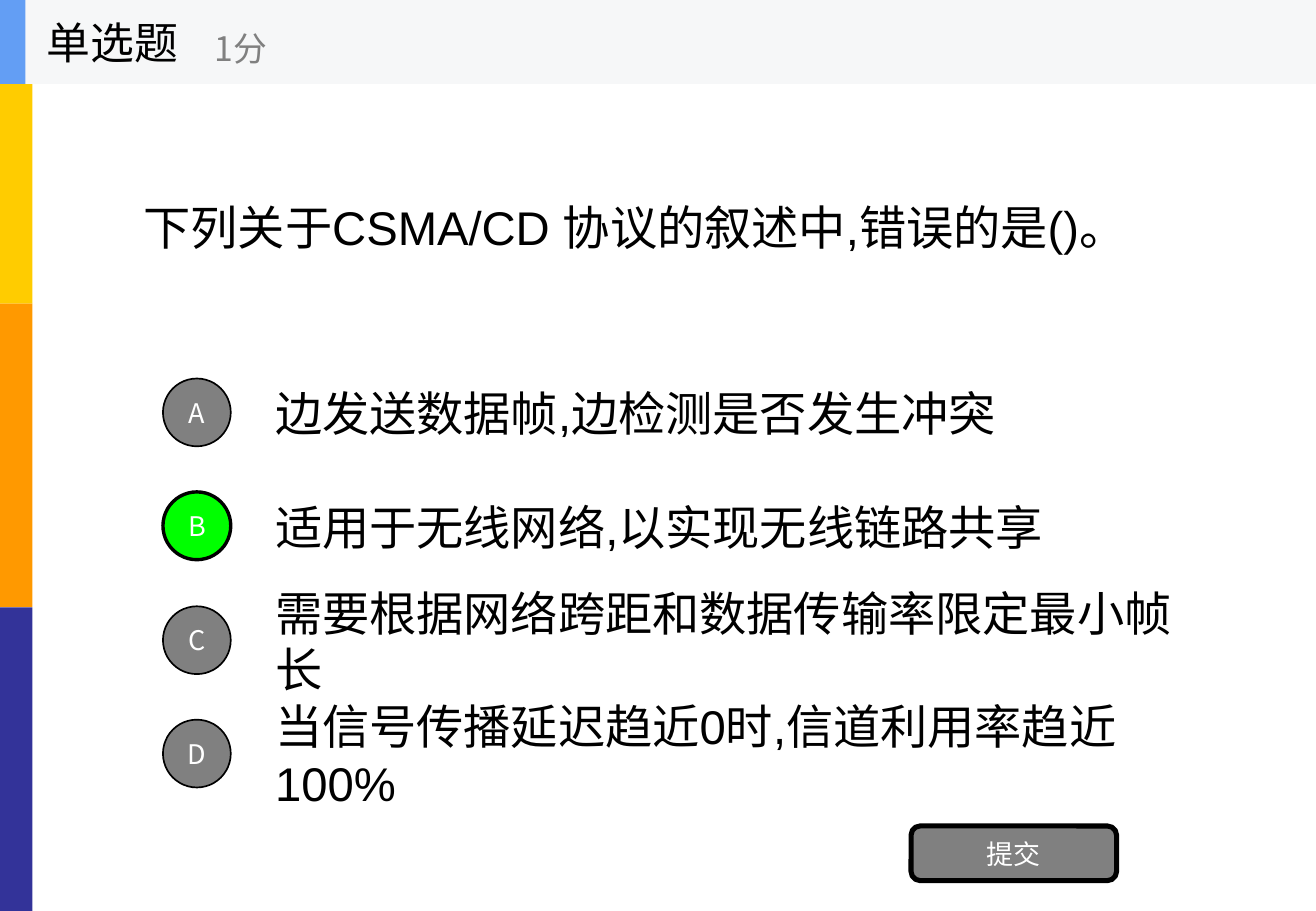
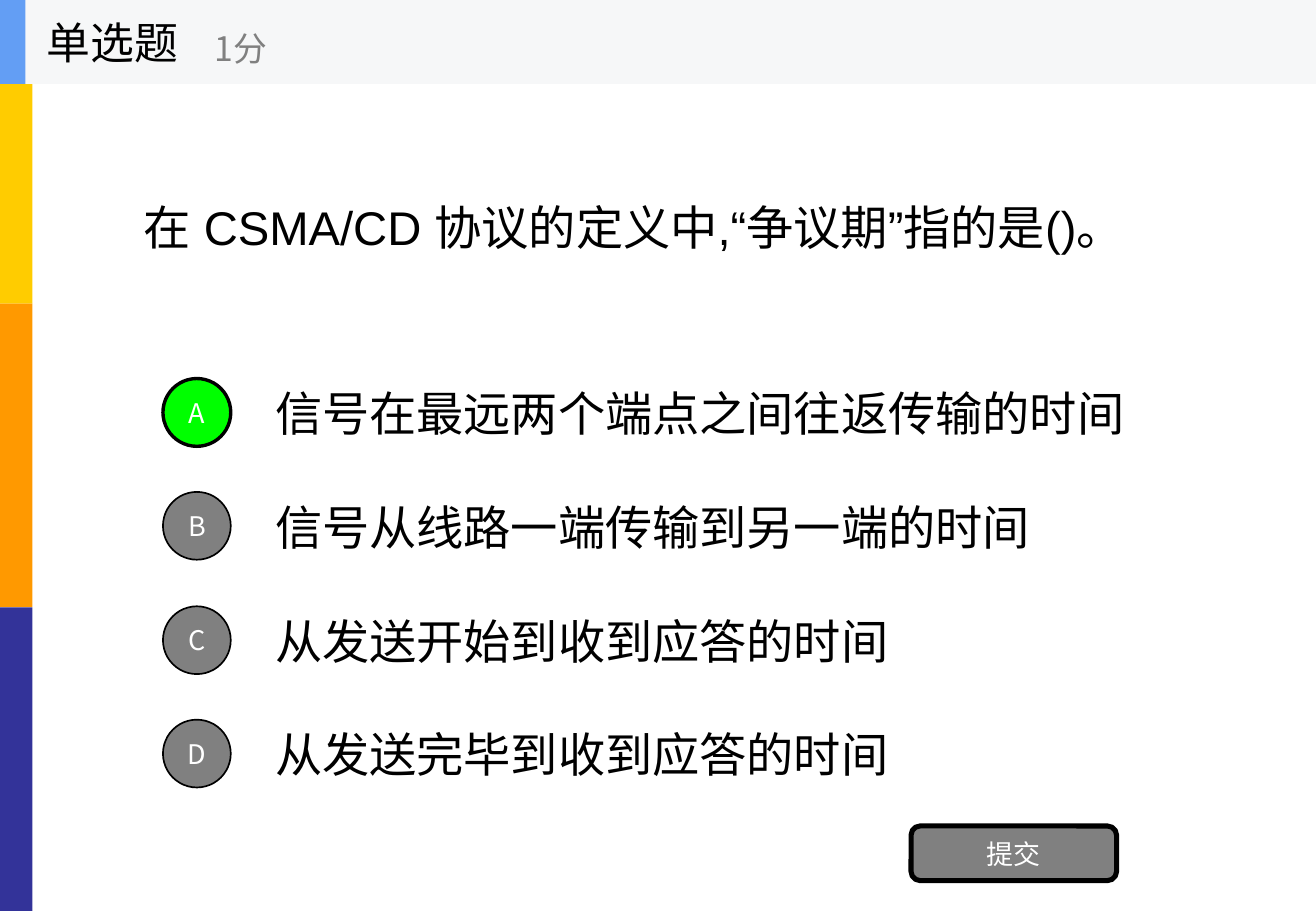
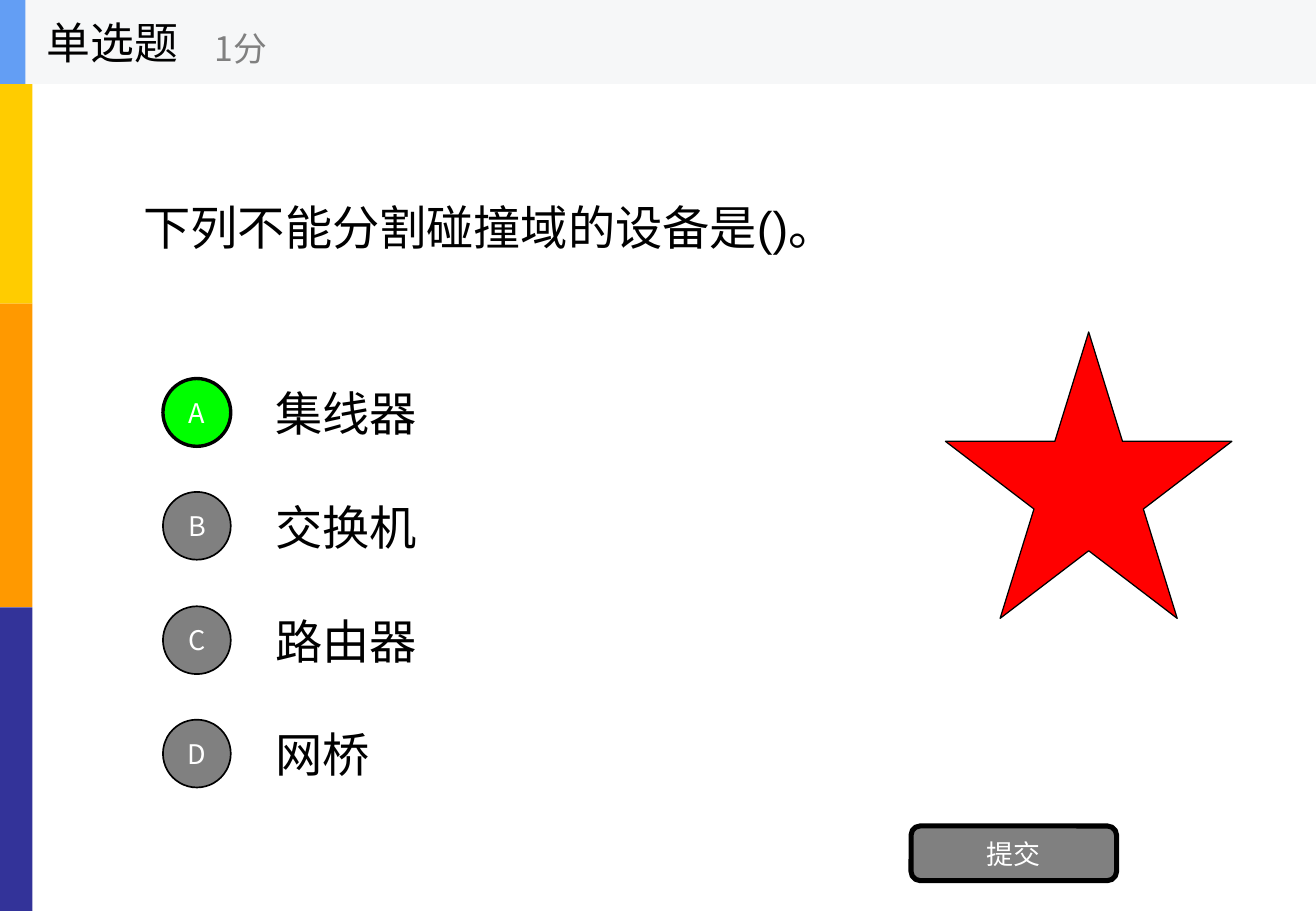
from dataclasses import dataclass

from lxml import etree
from pptx import Presentation
from pptx.dml.color import RGBColor
from pptx.enum.shapes import MSO_SHAPE
from pptx.enum.text import MSO_ANCHOR, PP_ALIGN
from pptx.oxml.ns import qn
from pptx.util import Pt

RECT, OVAL = MSO_SHAPE.RECTANGLE, MSO_SHAPE.OVAL
ROUND, STAR = MSO_SHAPE.ROUNDED_RECTANGLE, MSO_SHAPE.STAR_5_POINT
LEFT, CENTER, MIDDLE = PP_ALIGN.LEFT, PP_ALIGN.CENTER, MSO_ANCHOR.MIDDLE
PX = 7620  # EMU per px, 120 px to the inch
W, H = 1300, 900


@dataclass(frozen=True)
class Theme:
    bands: tuple = ("FFCC00", "FF9900", "333399")
    header: str = "F6F7F8"
    accent: str = "639EF4"
    ink: str = "000000"
    white: str = "FFFFFF"
    grey: str = "808080"
    correct: str = "00FF00"
    star: str = "FF0000"
    body_font: str = "Arial"
    ui_font: str = "Noto Sans CJK SC"
    body: int = 28
    title: int = 26
    points: int = 20
    label: int = 16


T = Theme()
BODY = dict(name=T.body_font, size=T.body, color=T.ink)
TITLE = dict(name=T.ui_font, size=T.title, color=T.ink)
POINTS = dict(name=T.ui_font, size=T.points, color=T.grey)
LABEL = dict(name=T.ui_font, size=T.label, color=T.white)

# Question, options, index of the right option
QUIZ = [
    ("下列关于CSMA/CD 协议的叙述中,错误的是()。",
     ["边发送数据帧,边检测是否发生冲突",
      "适用于无线网络,以实现无线链路共享",
      "需要根据网络跨距和数据传输率限定最小帧长",
      "当信号传播延迟趋近0时,信道利用率趋近100%"], 1),
    ("在 CSMA/CD 协议的定义中,“争议期”指的是()。",
     ["信号在最远两个端点之间往返传输的时间",
      "信号从线路一端传输到另一端的时间",
      "从发送开始到收到应答的时间",
      "从发送完毕到收到应答的时间"], 0),
    ("下列不能分割碰撞域的设备是()。",
     ["集线器", "交换机", "路由器", "网桥"], 0),
]


def add_box(shapes, kind, rect, fill, line=0):
    sp = shapes.add_shape(kind, *(v * PX for v in rect))
    sp.shadow.inherit = False
    sp.fill.solid()
    sp.fill.fore_color.rgb = RGBColor.from_string(fill)
    if line:
        sp.line.color.rgb = RGBColor.from_string(T.ink)
        sp.line.width = Pt(line)
    else:
        sp.line.fill.background()
    return sp


def set_text(sp, text, style, align=LEFT, inset=12):
    tf = sp.text_frame
    frame = dict(word_wrap=True, vertical_anchor=MIDDLE,
                 margin_left=inset * PX, margin_right=inset * PX)
    for key, value in frame.items():
        setattr(tf, key, value)
    p = tf.paragraphs[0]
    p.alignment = align
    r = p.add_run()
    r.text = text
    r.font.name, r.font.size = style["name"], Pt(style["size"])
    r.font.color.rgb = RGBColor.from_string(style["color"])
    ea = etree.SubElement(r.font._element, qn("a:ea"))
    ea.set("typeface", style["name"])


prs = Presentation()
prs.slide_width, prs.slide_height = W * PX, H * PX

for number, (question, options, answer) in enumerate(QUIZ, 1):
    s = prs.slides.add_slide(prs.slide_layouts[6])

    # Side bands
    band_h = H // len(T.bands)
    for i, color in enumerate(T.bands):
        add_box(s.shapes, RECT, (0, i * band_h, 32, band_h), color)

    # Question
    tb = s.shapes.add_textbox(*(v * PX for v in (130, 83, 1040, 281)))
    set_text(tb, question, BODY)

    # Options with lettered circles
    for i, option in enumerate(options):
        top = 366 + i * 225 // 2
        tb = s.shapes.add_textbox(*(v * PX for v in (260, top, 910, 84)))
        set_text(tb, option, BODY)
        right = i == answer
        sp = add_box(s.shapes, OVAL, (161, top + 8, 67, 67),
                     T.correct if right else T.grey, 2 if right else 1)
        set_text(sp, "ABCD"[i], LABEL, CENTER, 0)

    # Submit button
    sp = add_box(s.shapes, ROUND, (900, 816, 203, 54), T.grey, 3)
    set_text(sp, "提交", LABEL, CENTER)

    # Star on the last question
    if number == len(QUIZ):
        add_box(s.shapes, STAR, (934, 328, 283, 283), T.star, 0.75)

    # Header
    header = s.shapes.add_group_shape().shapes
    add_box(header, RECT, (0, 0, W, 83), T.header)
    add_box(header, RECT, (0, 0, 25, 83), T.accent)
    for text, rect, style in (("单选题", (34, 0, 250, 83), TITLE),
                              ("1分", (200, 14, 300, 67), POINTS)):
        tb = header.add_textbox(*(v * PX for v in rect))
        set_text(tb, text, style)

prs.save("out.pptx")
